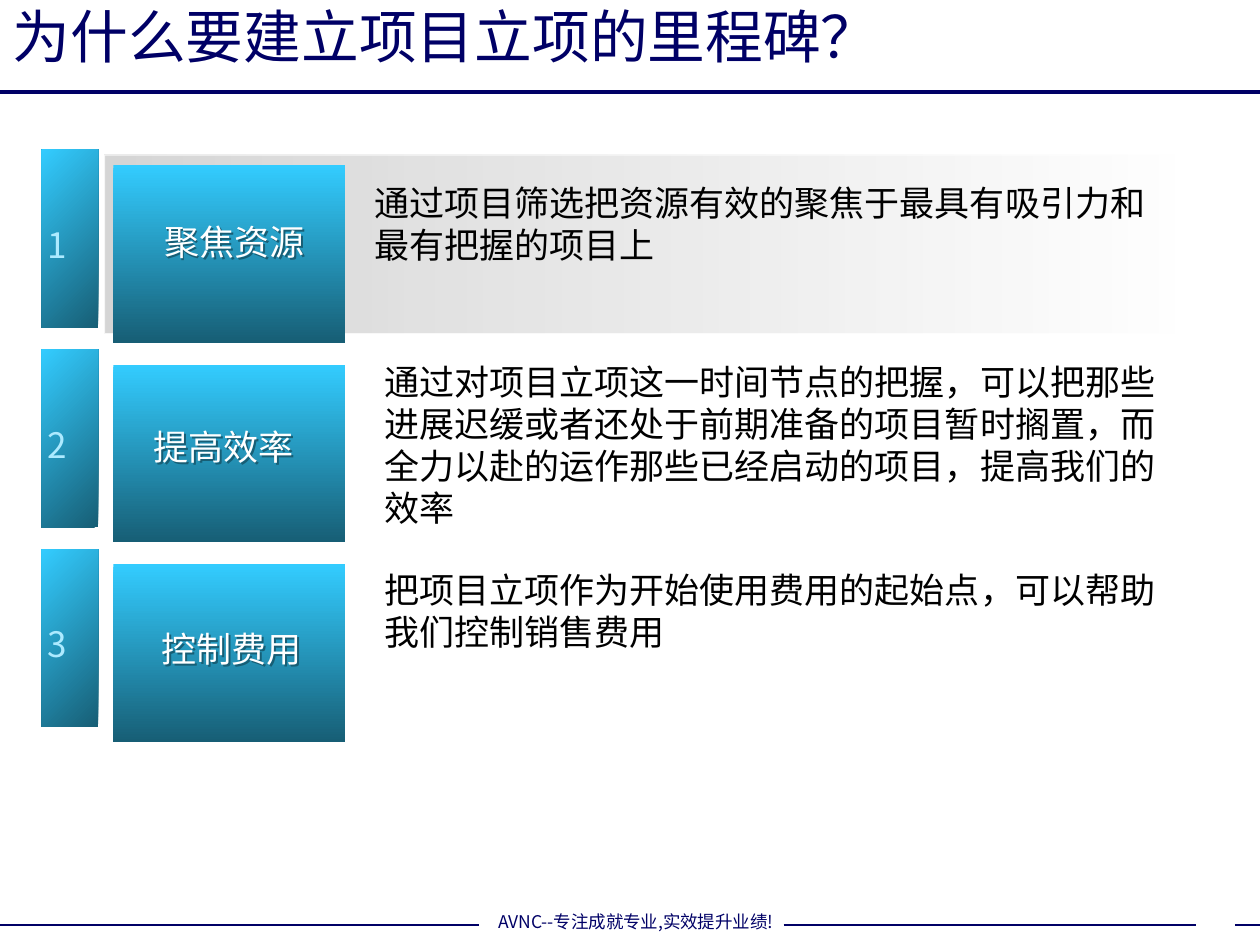
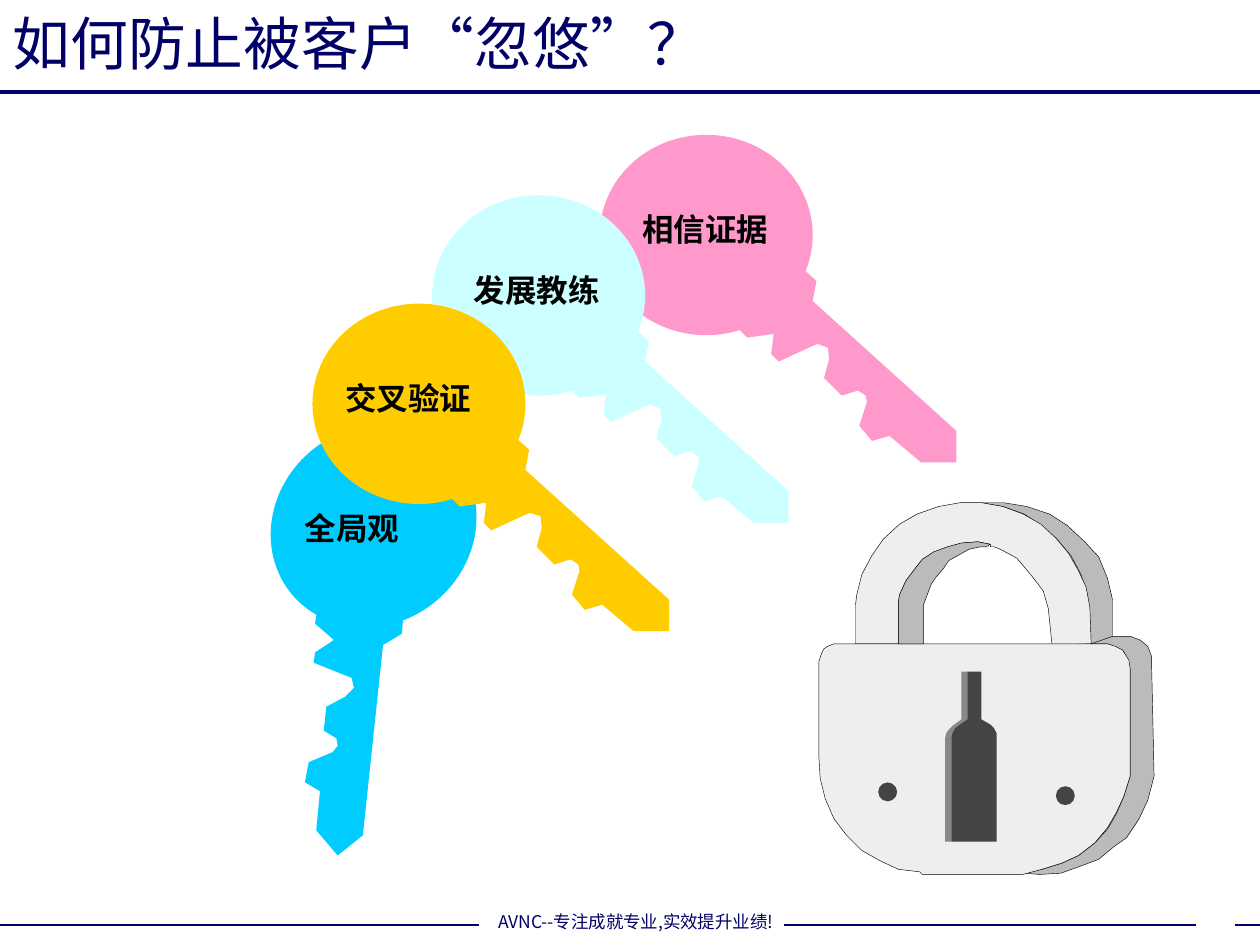
from dataclasses import dataclass
from typing import NamedTuple

from lxml import etree
from pptx import Presentation
from pptx.dml.color import RGBColor
from pptx.enum.shapes import MSO_CONNECTOR, MSO_SHAPE
from pptx.enum.text import MSO_ANCHOR, MSO_AUTO_SIZE, PP_ALIGN
from pptx.oxml.ns import qn
from pptx.util import Inches, Pt

RECT, OVAL = MSO_SHAPE.RECTANGLE, MSO_SHAPE.OVAL
STRAIGHT = MSO_CONNECTOR.STRAIGHT
LEFT, CENTER = PP_ALIGN.LEFT, PP_ALIGN.CENTER
TOP, MIDDLE = MSO_ANCHOR.TOP, MSO_ANCHOR.MIDDLE

# The slide is a grid of 1000 columns by 750 rows.
COLUMNS, ROWS = 1000, 750
SLIDE_W, SLIDE_H = Inches(10), Inches(7.5)
UNIT = SLIDE_W // COLUMNS

CJK_FONT, LABEL_FONT = "Noto Sans CJK SC", "Arial"
COLORS = {
    "navy": "000066", "black": "000000", "white": "FFFFFF", "number": "ADEAFF",
    "sky": "33CCFF", "teal": "175E75", "panel": "757575",
    "blue": "00CCFF", "pink": "FF99CC", "ice": "CCFFFF", "gold": "FFCC00",
    "front": "EEEEEE", "side": "BBBBBB", "hole_edge": "888888", "hole": "444444",
}


class Box(NamedTuple):
    left: float
    top: float
    width: float
    height: float

    def emu(self) -> list[int]:
        return [round(value * UNIT) for value in self]


class Gradient(NamedTuple):
    start: str
    end: str
    angle: float  # counter-clockwise


class Rule(NamedTuple):
    start: tuple
    end: tuple
    color: str
    weight: float


class Outline(NamedTuple):
    points: list
    color: str
    edged: bool = True


@dataclass
class Reason:
    label: str
    label_box: Box
    explanation: str
    explanation_box: Box
    panel_fill: object = "white"


@dataclass
class Key:
    label: str
    color: str
    head: Box
    blade: list
    label_box: Box
    turn: float = 0


def rgb(name: str) -> RGBColor:
    return RGBColor.from_string(COLORS[name])


def write(shape, text: str, *, size: float, color: str, font: str = CJK_FONT,
          bold: bool = False, align=LEFT, anchor=TOP, wrap: bool = True,
          shadow: bool = False) -> None:
    frame = shape.text_frame
    frame.word_wrap, frame.vertical_anchor = wrap, anchor
    frame.auto_size = MSO_AUTO_SIZE.NONE
    paragraph = frame.paragraphs[0]
    paragraph.alignment = align
    run = paragraph.add_run()
    run.text = text
    run.font.size, run.font.bold, run.font.name = Pt(size), bold, font
    run.font.color.rgb = rgb(color)
    latin = run.font._element.find(qn("a:latin"))
    latin.addnext(etree.Element(qn("a:ea"), typeface=font))
    if shadow:
        effects = etree.SubElement(shape.element.spPr, qn("a:effectLst"))
        cast = etree.SubElement(effects, qn("a:outerShdw"), dist="17961", dir="2700000")
        etree.SubElement(cast, qn("a:srgbClr"), val=COLORS["teal"])


def add_text(slide, box: Box, text: str, **style) -> None:
    write(slide.shapes.add_textbox(*box.emu()), text, **style)


def paint(shape, fill, edge: str | None = None, weight: float = 0.25) -> None:
    shape.shadow.inherit = False
    if isinstance(fill, Gradient):
        shape.fill.gradient()
        shape.fill.gradient_angle = fill.angle
        for stop, name in zip(shape.fill.gradient_stops, (fill.start, fill.end)):
            stop.color.rgb = rgb(name)
    else:
        shape.fill.solid()
        shape.fill.fore_color.rgb = rgb(fill)
    if edge:
        shape.line.color.rgb = rgb(edge)
        shape.line.width = Pt(weight)
    else:
        shape.line.fill.background()


def set_opacity(shape, fill_percent: int, line_percent: int) -> None:
    for color in shape.element.spPr.iter(qn("a:srgbClr")):
        in_line = next(color.iterancestors(qn("a:ln")), None) is not None
        percent = line_percent if in_line else fill_percent
        etree.SubElement(color, qn("a:alpha"), val=str(percent * 1000))


def add_shape(slide, kind, box: Box, fill, edge: str | None = None, weight: float = 0.25):
    shape = slide.shapes.add_shape(kind, *box.emu())
    paint(shape, fill, edge, weight)
    return shape


def add_outline(slide, outline: Outline) -> None:
    builder = slide.shapes.build_freeform(*outline.points[0], scale=UNIT)
    builder.add_line_segments(outline.points[1:], close=True)
    paint(builder.convert_to_shape(), outline.color, "black" if outline.edged else None)


def add_rule(slide, rule: Rule):
    ends = [round(value * UNIT) for value in (*rule.start, *rule.end)]
    connector = slide.shapes.add_connector(STRAIGHT, *ends)
    connector.line.color.rgb = rgb(rule.color)
    connector.line.width = Pt(rule.weight)
    etree.SubElement(connector.element.spPr, qn("a:effectLst"))
    return connector


def add_bands(layout, slide) -> None:
    """Draw the title rule and the footer, then hand them to the layout."""
    footer_y = 734
    header = add_rule(slide, Rule((0, 73), (COLUMNS, 73), "navy", 2.25))
    motto = add_shape(slide, RECT, Box(380, 718, 249, 27), "white")
    write(motto, "AVNC--专注成就专业,实效提升业绩!", size=10, color="navy",
          align=CENTER, anchor=MIDDLE, wrap=False)
    footers = [add_rule(slide, Rule((start, footer_y), (end, footer_y), "navy", 1))
               for start, end in ((0, 380), (622, 949), (980, COLUMNS))]
    for part in (header, motto, *footers):
        layout.shapes.element.append(part.element)


def set_title(slide, text: str, box: Box) -> None:
    title = slide.shapes.title
    title.left, title.top, title.width, title.height = box.emu()
    write(title, text, size=33, color="navy", anchor=MIDDLE)


ROW_TOP, ROW_PITCH, ROW_HEIGHT = 119, 158.5, 141
REASONS = [
    Reason("聚焦资源", Box(90, 170, 192, 44),
           "通过项目筛选把资源有效的聚焦于最具有吸引力和最有把握的项目上",
           Box(287, 139, 638, 77), Gradient("white", "panel", 180)),
    Reason("提高效率", Box(92, 333, 171, 44),
           "通过对项目立项这一时间节点的把握，可以把那些进展迟缓或者还处于前期准备的项目暂时搁置，"
           "而全力以赴的运作那些已经启动的项目，提高我们的效率",
           Box(295, 281, 638, 144)),
    Reason("控制费用", Box(98, 493, 172, 44),
           "把项目立项作为开始使用费用的起始点，可以帮助我们控制销售费用",
           Box(295, 446, 638, 77)),
]


def add_reason(slide, index: int, reason: Reason) -> None:
    top = ROW_TOP + index * ROW_PITCH
    add_shape(slide, RECT, Box(33, top, 45, ROW_HEIGHT), Gradient("teal", "sky", 135))
    add_text(slide, Box(28, top + 53.5, 36, 44), str(index + 1), size=20,
             color="number", wrap=False)
    panel = add_shape(slide, RECT, Box(83, top + 4, 862, ROW_HEIGHT + 1),
                      reason.panel_fill, "white", 0.75)
    set_opacity(panel, 30, 80)
    add_shape(slide, RECT, Box(90, top + 12, 184, ROW_HEIGHT), Gradient("sky", "teal", 270))
    add_text(slide, reason.label_box, reason.label, size=20, color="white",
             align=CENTER, shadow=True)
    add_text(slide, reason.explanation_box, reason.explanation, size=20, color="black")


# Blade points are relative to the corner of the key's head.
SLANTED_BLADE = [
    (162, 107), (108, 152), (117, 161), (138, 158), (136, 174), (142, 180), (168, 168),
    (173, 166), (181, 169), (182, 178), (178, 193), (192, 207), (205, 203), (211, 207),
    (212, 212), (206, 231), (216, 243), (230, 239), (255, 260), (283, 260), (283, 235),
    (169, 132), (172, 116)]
UPRIGHT_BLADE = [
    (101, 157), (33, 150), (31, 162), (46, 175), (31, 185), (30, 193), (55, 203), (60, 205),
    (62, 213), (55, 220), (40, 228), (38, 247), (48, 253), (49, 259), (45, 264), (26, 272),
    (23, 288), (35, 295), (32, 326), (49, 346), (69, 330), (85, 179), (100, 170)]


def slanted_key(label: str, color: str, left: float, top: float, indent: float) -> Key:
    return Key(label, color, Box(left, top, 169, 159), SLANTED_BLADE,
               Box(left + indent, top + 55, 132, 40))


KEYS = [
    Key("全局观", "blue", Box(219, 333, 155, 169), UPRIGHT_BLADE,
        Box(232, 399, 104, 40), turn=49.9),
    slanted_key("相信证据", "pink", 476, 107, 24),
    slanted_key("发展教练", "ice", 343, 155, 23),
    slanted_key("交叉验证", "gold", 248, 241, 16),
]


def add_key(slide, key: Key) -> None:
    blade = [(key.head.left + x, key.head.top + y) for x, y in key.blade]
    add_outline(slide, Outline(blade, key.color, edged=False))
    add_shape(slide, OVAL, key.head, key.color).rotation = key.turn
    add_text(slide, key.label_box, key.label, size=18, color="black",
             font=LABEL_FONT, bold=True)


LOCK_SIDE = Outline([
    (825, 694), (842, 693), (856, 688), (872, 682), (884, 672), (894, 665), (904, 650),
    (911, 635), (916, 616), (914, 527), (914, 521), (911, 513), (905, 508), (897, 505),
    (883, 505), (883, 476), (879, 459), (872, 442), (861, 430), (847, 417), (833, 408),
    (815, 402), (797, 399), (779, 399), (796, 402), (813, 408), (826, 417), (839, 428),
    (850, 441), (858, 456), (863, 472), (865, 488), (861, 511), (879, 511), (892, 517),
    (897, 531), (897, 616), (892, 632), (886, 646), (879, 658), (869, 669), (856, 679),
    (843, 685), (827, 690), (812, 693)], "side")
SHACKLE = Outline([
    (865, 482), (862, 466), (856, 453), (848, 439), (838, 427), (826, 416), (812, 408),
    (796, 402), (779, 399), (762, 399), (745, 402), (728, 408), (714, 416), (701, 428),
    (692, 441), (684, 456), (680, 472), (679, 480), (679, 511), (713, 511), (713, 478),
    (714, 472), (719, 461), (725, 453), (732, 444), (742, 438), (753, 434), (764, 431),
    (776, 430), (786, 432), (786, 434), (789, 434), (794, 436), (807, 443), (818, 456),
    (828, 469), (832, 483), (835, 512), (866, 511)], "front")
LOCK_BODY = Outline([
    (713, 511), (876, 511), (879, 511), (885, 513), (891, 516), (896, 524), (897, 531),
    (897, 616), (892, 632), (886, 645), (879, 657), (869, 669), (856, 679), (843, 685),
    (827, 690), (812, 694), (732, 694), (730, 692), (713, 690), (698, 683), (684, 675),
    (672, 663), (662, 650), (655, 634), (651, 618), (650, 602), (650, 525), (652, 519),
    (654, 515), (657, 513), (662, 511)], "front")
SHACKLE_INSIDE = Outline([
    (733, 511), (713, 511), (713, 478), (714, 472), (719, 461), (725, 453), (732, 444),
    (741, 438), (752, 434), (763, 431), (776, 430), (786, 432), (783, 434), (778, 434),
    (769, 436), (762, 440), (753, 445), (749, 451), (743, 458), (739, 464), (736, 472),
    (733, 480)], "side")
KEYHOLE_EDGE = Outline([
    (769, 533), (763, 533), (763, 571), (756, 576), (753, 579), (751, 582), (750, 586),
    (750, 668), (755, 668), (755, 586), (760, 579), (766, 575), (769, 571)],
    "hole_edge", edged=False)
KEYHOLE = Outline([
    (755, 668), (755, 586), (756, 582), (758, 578), (762, 575), (768, 571), (768, 533),
    (779, 533), (779, 571), (786, 575), (789, 578), (791, 582), (791, 668)],
    "hole", edged=False)


def add_lock(slide) -> None:
    for outline in (LOCK_SIDE, SHACKLE, LOCK_BODY, SHACKLE_INSIDE, KEYHOLE_EDGE, KEYHOLE):
        add_outline(slide, outline)
    for left, top in ((697, 621), (838, 624)):
        add_shape(slide, OVAL, Box(left, top, 15, 15), "hole")
    add_rule(slide, Rule((866, 511), (883, 505), "black", 0.25))


def main() -> None:
    deck = Presentation()
    deck.slide_width, deck.slide_height = SLIDE_W, SLIDE_H
    layout = deck.slide_layouts.get_by_name("Title Only")

    milestones = deck.slides.add_slide(layout)
    add_bands(layout, milestones)
    set_title(milestones, "为什么要建立项目立项的里程碑？", Box(0, 0, 713, 57))
    for index, reason in enumerate(REASONS):
        add_reason(milestones, index, reason)

    safeguards = deck.slides.add_slide(layout)
    set_title(safeguards, "如何防止被客户“忽悠”？", Box(0, 0, 900, 68))
    for key in KEYS:
        add_key(safeguards, key)
    add_lock(safeguards)

    deck.save("out.pptx")


if __name__ == "__main__":
    main()
